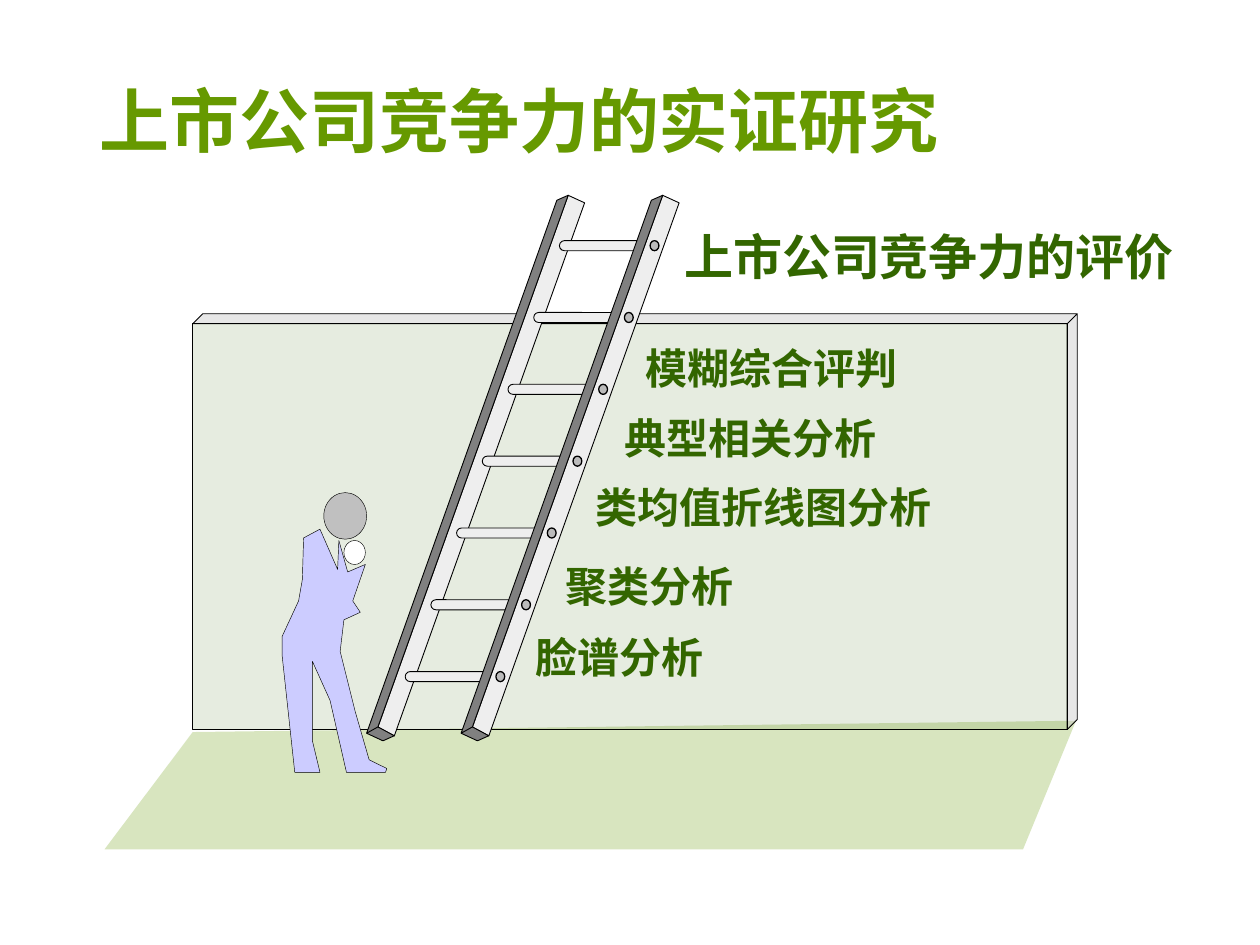
"""Build the slide on empirical research into listed-company competitiveness."""
from lxml.etree import SubElement
from pptx import Presentation
from pptx.dml.color import RGBColor
from pptx.enum.shapes import MSO_SHAPE as SHAPE
from pptx.enum.text import MSO_ANCHOR as ANCHOR, MSO_AUTO_SIZE as AUTO, PP_ALIGN as ALIGN
from pptx.oxml.ns import qn
from pptx.util import Inches, Pt

GREEN = RGBColor(0x66, 0x99, 0x00)
DARK_GREEN = RGBColor(0x33, 0x66, 0x00)
BLACK = RGBColor(0x00, 0x00, 0x00)
WHITE = RGBColor(0xFF, 0xFF, 0xFF)
SILVER = RGBColor(0xC0, 0xC0, 0xC0)
GREY = RGBColor(0x80, 0x80, 0x80)
LIGHT_GREY = RGBColor(0xEE, 0xEE, 0xEE)
HOLE_GREY = RGBColor(0xBB, 0xBB, 0xBB)
SUIT_BLUE = RGBColor(0xCC, 0xCC, 0xFF)
CJK = "Noto Sans CJK SC"
LATIN = "Times New Roman"


def paint(sp, color, line=None, opacity=100):
    sp.shadow.inherit = False
    sp.fill.solid()
    sp.fill.fore_color.rgb = color
    if opacity < 100:
        clr = sp._element.spPr.find(qn("a:solidFill"))[0]
        SubElement(clr, qn("a:alpha"), val=str(opacity * 1000))
    if line is None:
        sp.line.fill.background()
    else:
        sp.line.color.rgb = BLACK
        sp.line.width = Pt(line)
    return sp


def add_polygon(points, color, line=None, opacity=100):
    start, *rest = [(Inches(x), Inches(y)) for x, y in points]
    fb = shapes.build_freeform(*start, scale=1.0)
    fb.add_line_segments(rest, close=True)
    return paint(fb.convert_to_shape(), color, line, opacity)


prs = Presentation()
prs.slide_width, prs.slide_height = Inches(10), Inches(7.5)
slide = prs.slides.add_slide(prs.slide_layouts[5])
shapes = slide.shapes

floor = [(8.54, 5.72), (1.53, 5.81), (0.83, 6.74), (8.12, 6.74)]
add_polygon(floor, GREEN, opacity=25)

left, top, right, bottom, depth = 1.53, 2.57, 8.47, 5.79, 0.08
back_corner = (right + depth, top - depth)
wall_edge = [(left, top), (left + depth, top - depth), back_corner, (right, top), back_corner,
             (right + depth, bottom - depth), (right, bottom), (right, top)]
add_polygon(wall_edge, SILVER, 0.5, 38)
wall = shapes.add_shape(SHAPE.RECTANGLE, Inches(left), Inches(top),
                        Inches(right - left), Inches(bottom - top))
paint(wall, DARK_GREEN, 0.5, 12)

STEPS = [
    ("脸谱分析", 4.21, 5.25, 2.52, 24),
    ("聚类分析", 4.45, 4.69, 2.05, 24),
    ("类均值折线图分析", 4.69, 4.06, 2.84, 24),
    ("典型相关分析", 4.92, 3.51, 2.6, 24),
    ("模糊综合评判", 5.08, 2.96, 2.76, 24),
    ("上市公司竞争力的评价", 5.39, 2.1, 4.02, 28),
]
texts = [(shapes.title, "上市公司竞争力的实证研究", (0.75, 1.07, 7.48, 0.26), 40, 12.2, LATIN, GREEN)]
for label, x, y, width, size in STEPS:
    sp = shapes.add_textbox(0, 0, 0, 0)
    texts.append((sp, label, (x, y, width, 0.21), size, 8.7, CJK, DARK_GREEN))

for sp, text, box, size, spacing, font, color in texts:
    sp.left, sp.top, sp.width, sp.height = map(Inches, box)
    tf = sp.text_frame
    tf.text = text
    tf.word_wrap = True
    tf.auto_size = AUTO.NONE
    tf.vertical_anchor = ANCHOR.TOP
    tf.margin_left = tf.margin_right = tf.margin_top = tf.margin_bottom = Inches(0.04)
    p = tf.paragraphs[0]
    p.alignment = ALIGN.LEFT
    p.line_spacing = Pt(spacing)
    r = p.runs[0]
    r.font.size = Pt(size)
    r.font.bold = True
    r.font.color.rgb = color
    r.font.name = font
    SubElement(r._r.get_or_add_rPr(), qn("a:ea"), typeface=CJK)

FOOT_Y, RAIL_RUN, RAIL_RISE = 5.77, 1.51, 4.22
RUNG_COUNT, RUNG_TOP, RUNG_GAP, RUNG_HEIGHT = 7, 1.91, 0.57, 0.08
RUNG_SHIFT = RUNG_GAP * RAIL_RUN / RAIL_RISE
RAILS = [
    (3, SHAPE.ROUNDED_RECTANGLE, 1.44, 0.73, LIGHT_GREY, 0.5),
    (3.75, SHAPE.OVAL, 1.41, 0.07, HOLE_GREY, 0),
]
for foot_x, kind, offset, width, color, line in RAILS:
    head_x, head_y = foot_x + RAIL_RUN, FOOT_Y - RAIL_RISE
    foot, head = (foot_x, FOOT_Y), (head_x, head_y)
    foot_left, foot_right = (foot_x - 0.09, FOOT_Y + 0.05), (foot_x + 0.13, FOOT_Y + 0.07)
    front = [foot, head, (head_x + 0.13, head_y + 0.06), foot_right]
    side = [head, (head_x - 0.09, head_y + 0.04), foot_left, foot, foot_left,
            (foot_x + 0.04, FOOT_Y + 0.11), foot_right, foot]
    add_polygon(front, LIGHT_GREY, 0.5)
    add_polygon(side, GREY, 0.5)
    for i in range(RUNG_COUNT):
        sp = shapes.add_shape(kind, Inches(foot_x + offset - i * RUNG_SHIFT),
                              Inches(RUNG_TOP + i * RUNG_GAP), Inches(width), Inches(RUNG_HEIGHT))
        if kind == SHAPE.ROUNDED_RECTANGLE:
            sp.adjustments[0] = 0.5
        paint(sp, color, line)

man_head = shapes.add_shape(SHAPE.OVAL, Inches(2.57), Inches(3.91), Inches(0.34), Inches(0.37))
man_hand = shapes.add_shape(SHAPE.OVAL, Inches(2.73), Inches(4.29), Inches(0.17), Inches(0.19))
paint(man_head, SILVER, 0.25)
paint(man_hand, WHITE, 0.25)

front_leg = [(2.7, 5.17), (2.82, 5.65), (2.93, 6.03), (3.07, 6.1), (3.06, 6.13), (2.75, 6.13),
             (2.62, 5.56), (2.48, 5.25)]
back_leg = [(2.48, 5.88), (2.54, 6.13), (2.34, 6.13), (2.24, 5.21), (2.24, 5.05)]
back = [(2.37, 4.77), (2.4, 4.6), (2.41, 4.27), (2.54, 4.2)]
arm = [(2.68, 4.52), (2.69, 4.29), (2.76, 4.54), (2.9, 4.48), (2.8, 4.77), (2.86, 4.86),
       (2.73, 4.92)]
add_polygon(front_leg + back_leg + back + arm, SUIT_BLUE, 0.25)

prs.save("out.pptx")
